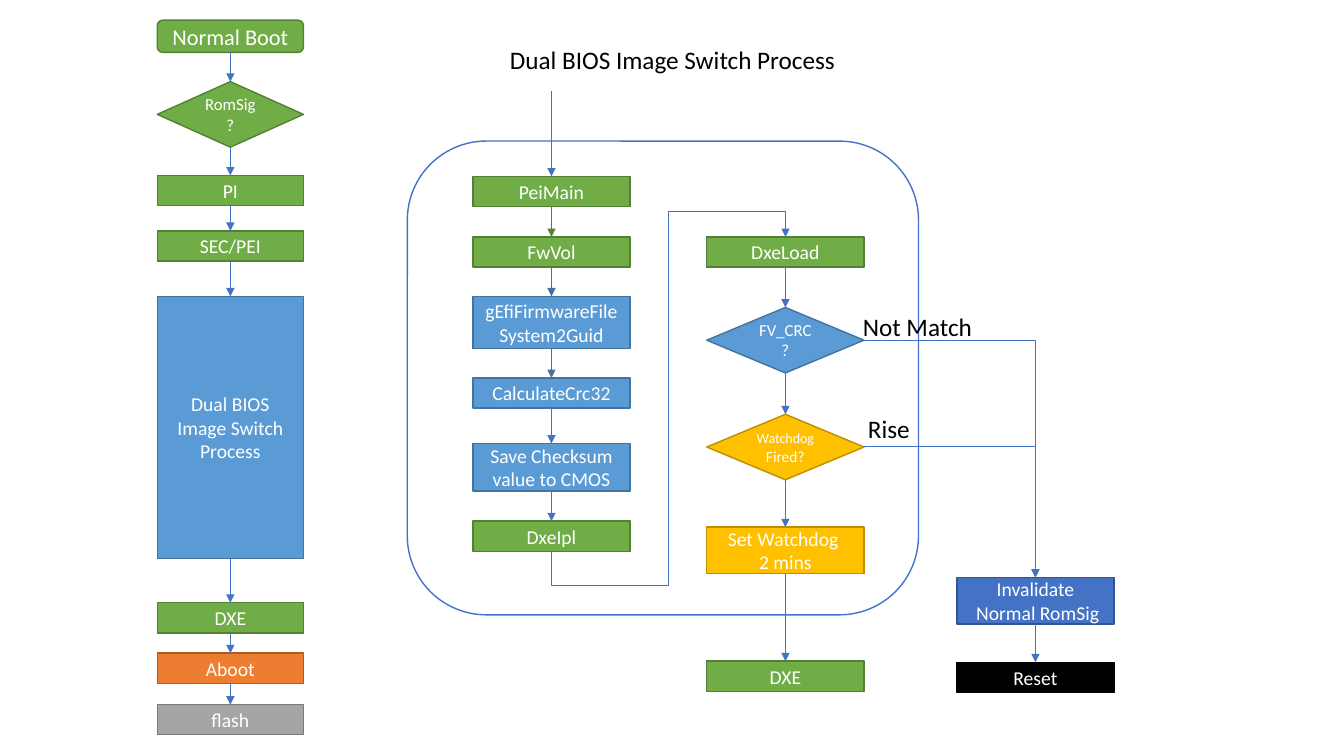
from lxml.etree import SubElement
from pptx import Presentation
from pptx.dml.color import RGBColor
from pptx.enum.shapes import MSO_CONNECTOR, MSO_SHAPE
from pptx.enum.text import MSO_ANCHOR, PP_ALIGN
from pptx.oxml.ns import qn
from pptx.util import Inches, Pt

GREEN, GREEN_EDGE = RGBColor(0x70, 0xAD, 0x47), RGBColor(0x53, 0x80, 0x35)
BLUE, BLUE_EDGE = RGBColor(0x5B, 0x9B, 0xD5), RGBColor(0x43, 0x73, 0x9E)
GOLD, GOLD_EDGE = RGBColor(0xFF, 0xC0, 0x00), RGBColor(0xBD, 0x8E, 0x00)
ORANGE, ORANGE_EDGE = RGBColor(0xED, 0x7D, 0x31), RGBColor(0xAF, 0x5C, 0x24)
GRAY, GRAY_EDGE = RGBColor(0xA5, 0xA5, 0xA5), RGBColor(0x7A, 0x7A, 0x7A)
INDIGO, INDIGO_EDGE = RGBColor(0x44, 0x72, 0xC4), RGBColor(0x32, 0x54, 0x91)
BLACK, WHITE = RGBColor(0x00, 0x00, 0x00), RGBColor(0xFF, 0xFF, 0xFF)

RECTANGLE = MSO_SHAPE.RECTANGLE
DECISION = MSO_SHAPE.FLOWCHART_DECISION
ROUNDED = MSO_SHAPE.FLOWCHART_ALTERNATE_PROCESS


def style_text(text_frame, size, color, alignment):
    for paragraph in text_frame.paragraphs:
        paragraph.alignment = alignment
        for run in paragraph.runs:
            run.font.name = "Calibri"
            run.font.size = Pt(size)
            run.font.color.rgb = color


def style_arrow(connector, color=INDIGO, width=0.5):
    connector.line.color.rgb = color
    connector.line.width = Pt(width)
    SubElement(connector.line._get_or_add_ln(), qn("a:tailEnd"), type="triangle")
    SubElement(connector._element.spPr, qn("a:effectLst"))


presentation = Presentation()
presentation.slide_width = Inches(13.33)
presentation.slide_height = Inches(7.5)
slide = presentation.slides.add_slide(presentation.slide_layouts[6])
shapes = slide.shapes

green = (GREEN, GREEN_EDGE)
blue = (BLUE, BLUE_EDGE)
gold = (GOLD, GOLD_EDGE)
columns = [
    (1.56, 1.45, [
        ("Normal Boot", 0.2, 0.32, ROUNDED, green, 16),
        ("RomSig?", 0.81, 0.65, DECISION, green, 12),
        ("PI", 1.74, 0.3, RECTANGLE, green, 14),
        ("SEC/PEI", 2.29, 0.3, RECTANGLE, green, 14),
        ("Dual BIOS Image Switch\nProcess", 2.94, 2.6, RECTANGLE, blue, 14),
        ("DXE", 5.98, 0.3, RECTANGLE, green, 14),
        ("Aboot", 6.48, 0.3, RECTANGLE, (ORANGE, ORANGE_EDGE), 14),
        ("flash", 6.99, 0.3, RECTANGLE, (GRAY, GRAY_EDGE), 14),
    ]),
    (4.69, 1.56, [
        ("PeiMain", 1.75, 0.3, RECTANGLE, green, 14),
        ("FwVol", 2.35, 0.3, RECTANGLE, green, 14),
        ("gEfiFirmwareFileSystem2Guid", 2.94, 0.52, RECTANGLE, blue, 14),
        ("CalculateCrc32", 3.75, 0.3, RECTANGLE, blue, 14),
        ("Save Checksum value to CMOS", 4.4, 0.47, RECTANGLE, blue, 14),
        ("DxeIpl", 5.17, 0.3, RECTANGLE, green, 14),
    ]),
    (7.01, 1.56, [
        ("DxeLoad", 2.35, 0.3, RECTANGLE, green, 14),
        ("FV_CRC?", 3.05, 0.65, DECISION, blue, 12),
        ("Watchdog Fired?", 4.11, 0.65, DECISION, gold, 10),
        ("Set Watchdog \n2 mins", 5.23, 0.46, RECTANGLE, gold, 14),
        ("DXE", 6.56, 0.3, RECTANGLE, green, 14),
    ]),
    (9.49, 1.56, [
        ("Invalidate\n Normal RomSig", 5.73, 0.46, RECTANGLE, (INDIGO, INDIGO_EDGE), 14),
        ("Reset", 6.57, 0.3, RECTANGLE, (BLACK, BLACK), 14),
    ]),
]
arrow_styles = {
    "FwVol": (GREEN_EDGE, 1),
    "gEfiFirmwareFileSystem2Guid": (BLUE_EDGE, 1),
    "CalculateCrc32": (BLUE_EDGE, 1),
}

for left, width, steps in columns:
    previous = None
    for text, top, height, kind, (fill, edge), size in steps:
        shape = shapes.add_shape(kind, Inches(left), Inches(top), Inches(width), Inches(height))
        shape.shadow.inherit = False
        shape.fill.solid()
        shape.fill.fore_color.rgb = fill
        shape.line.color.rgb = edge
        shape.line.width = Pt(1)
        text_frame = shape.text_frame
        text_frame.vertical_anchor = MSO_ANCHOR.MIDDLE
        text_frame.word_wrap = True
        text_frame.text = text
        if text == "Watchdog Fired?":
            paragraph = text_frame.paragraphs[0]
            paragraph.runs[0].text = "Watchdog"
            paragraph.add_run().text = " Fired?"
        style_text(text_frame, size, WHITE, PP_ALIGN.CENTER)
        if text == "Watchdog Fired?":
            paragraph.runs[1].font.size = Pt(11)
        if previous is not None:
            arrow = shapes.add_connector(MSO_CONNECTOR.STRAIGHT, 0, 0, 0, 0)
            arrow.begin_connect(previous, 2)
            arrow.end_connect(shape, 0)
            style_arrow(arrow, *arrow_styles.get(text, (INDIGO, 0.5)))
        if text == "PeiMain":
            entry_arrow = shapes.add_connector(
                MSO_CONNECTOR.STRAIGHT, Inches(5.47), Inches(0.9), Inches(5.47), Inches(1.75))
            entry_arrow.end_connect(shape, 0)
            style_arrow(entry_arrow)
        previous = shape

process_frame = shapes.add_shape(
    MSO_SHAPE.ROUNDED_RECTANGLE, Inches(4.04), Inches(1.4), Inches(5.07), Inches(4.7))
process_frame.shadow.inherit = False
process_frame.fill.background()
process_frame.line.color.rgb = INDIGO
process_frame.line.width = Pt(1)

load_arrow = shapes.add_connector(
    MSO_CONNECTOR.ELBOW, Inches(8.19), Inches(5.07), Inches(5.07), Inches(2.75))
load_properties = load_arrow._element.spPr
load_properties.find(qn("a:xfrm")).set("rot", "5400000")
load_geometry = load_properties.find(qn("a:prstGeom"))
load_geometry.set("prst", "bentConnector5")
adjustments = load_geometry.find(qn("a:avLst"))
for number, value in enumerate((-10900, 50000, 108000), start=1):
    SubElement(adjustments, qn("a:gd"), name=f"adj{number}", fmla=f"val {value}")
style_arrow(load_arrow)

for failure_top in (3.38, 4.43):
    failure_arrow = shapes.add_connector(
        MSO_CONNECTOR.ELBOW, Inches(8.57), Inches(failure_top), Inches(10.27), Inches(5.73))
    failure_arrow._element.spPr.find(qn("a:prstGeom")).set("prst", "bentConnector2")
    style_arrow(failure_arrow)

labels = [
    ("Dual BIOS Image Switch Process", 4.83, 0.39, 3.68, 0.71, PP_ALIGN.CENTER, True),
    ("Not Match", 8.46, 3.04, 1.3, 0.4, PP_ALIGN.LEFT, False),
    ("Rise", 8.51, 4.05, 0.62, 0.4, PP_ALIGN.LEFT, False),
]
for text, left, top, width, height, alignment, wrap in labels:
    label = shapes.add_textbox(Inches(left), Inches(top), Inches(width), Inches(height))
    label.text_frame.word_wrap = wrap
    label.text_frame.text = text
    style_text(label.text_frame, 18, BLACK, alignment)

presentation.save("out.pptx")
